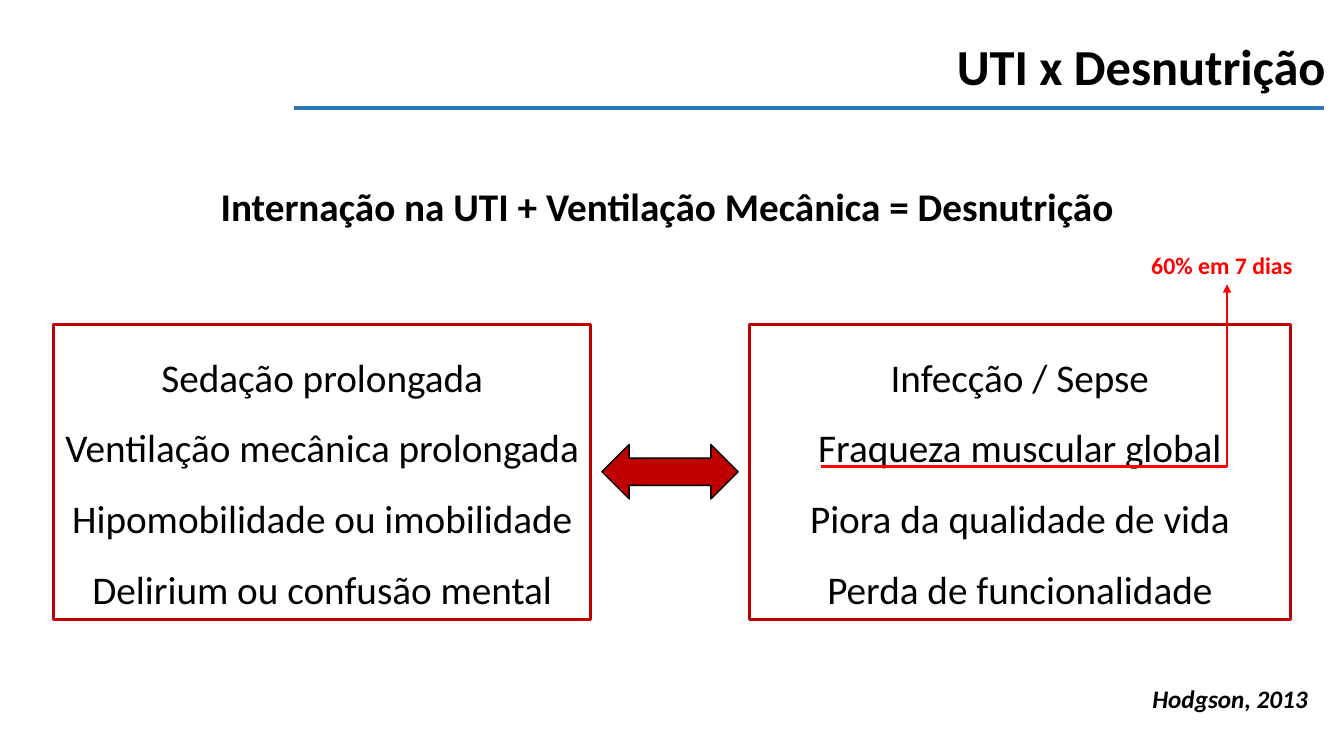
from lxml import etree
from pptx import Presentation
from pptx import util as u
from pptx.dml.color import RGBColor
from pptx.enum import shapes, text
from pptx.oxml import ns

WIDE, HIGH = u.Inches(13.33), u.Inches(7.5)
HUES = {"ink": "000000", "blue": "2E75B6", "dark": "C00000", "red": "FF0000"}
LEFT, MID, JUST = text.PP_ALIGN.LEFT, text.PP_ALIGN.CENTER, text.PP_ALIGN.JUSTIFY
CAUSES = ["Sedação prolongada", "Ventilação mecânica prolongada",
          "Hipomobilidade ou imobilidade", "Delirium ou confusão mental"]
EFFECTS = ["Infecção / Sepse", "Fraqueza muscular global",
           "Piora da qualidade de vida", "Perda de funcionalidade"]


def hue(name):
    return RGBColor.from_string(HUES[name])


def place(*shares):
    return [round((WIDE, HIGH)[i % 2] * part / 100)
            for i, part in enumerate(shares)]


def stroke(item, name, width):
    item.line.color.rgb = hue(name)
    item.line.width = u.Pt(width)


def label(slide, spot, lines, size, align=LEFT, name="ink",
          bold=True, slant=False, space=1):
    box = slide.shapes.add_textbox(*place(*spot))
    frame = box.text_frame
    frame.word_wrap = True
    frame.auto_size = text.MSO_AUTO_SIZE.SHAPE_TO_FIT_TEXT
    frame.text = "\n".join(lines)
    for para in frame.paragraphs:
        para.alignment = align
        para.line_spacing = float(space)
        for run in para.runs:
            font = run.font
            font.name, font.size = "Calibri", u.Pt(size)
            font.bold, font.italic = bold, slant
            font.color.rgb = hue(name)
    return box


def panel(slide, left, width, lines):
    box = label(slide, (left, 42.93, width, 39.07), lines, 28, MID,
                bold=False, space=1.5)
    stroke(box, "dark", 2)


def link(slide, kind, ends, name, width):
    line = slide.shapes.add_connector(kind, *place(*ends))
    stroke(line, name, width)
    etree.SubElement(line._element.spPr, ns.qn("a:effectLst"))
    return line


def bend(slide, ends):
    line = link(slide, shapes.MSO_CONNECTOR.ELBOW, ends, "red", 2)
    props = line._element.spPr
    props.find(ns.qn("a:prstGeom")).set("prst", "bentConnector2")
    etree.SubElement(props.find(ns.qn("a:ln")), ns.qn("a:tailEnd"),
                     type="triangle")


def arrow(slide, spot):
    item = slide.shapes.add_shape(
        shapes.MSO_SHAPE.LEFT_RIGHT_ARROW, *place(*spot))
    item.shadow.inherit = False
    item.fill.solid()
    item.fill.fore_color.rgb = hue("dark")
    stroke(item, "ink", 1)


def main():
    deck = Presentation()
    deck.slide_width, deck.slide_height = WIDE, HIGH
    slide = deck.slides.add_slide(deck.slide_layouts[6])
    link(slide, shapes.MSO_CONNECTOR.STRAIGHT,
         (21.9, 14.27, 98.5, 14.27), "blue", 2.5)
    label(slide, (15.68, 23.47, 68.34, 7.6),
          ["Internação na UTI + Ventilação Mecânica = Desnutrição"], 28, JUST)
    panel(slide, 3.98, 39.98, CAUSES)
    panel(slide, 55.74, 40.28, EFFECTS)
    label(slide, (85, 89.73, 13.5, 5.33), ["Hodgson, 2013"], 18, slant=True)
    arrow(slide, (44.79, 58.8, 10.13, 7.2))
    label(slide, (84.92, 32.53, 13.5, 5.2), ["60% em 7 dias"], 17, name="red")
    bend(slide, (61.07, 61.73, 91.3, 37.6))
    label(slide, (70.07, 4, 29.71, 9.47), ["UTI x Desnutrição"], 36, MID)
    deck.save("out.pptx")


if __name__ == "__main__":
    main()
